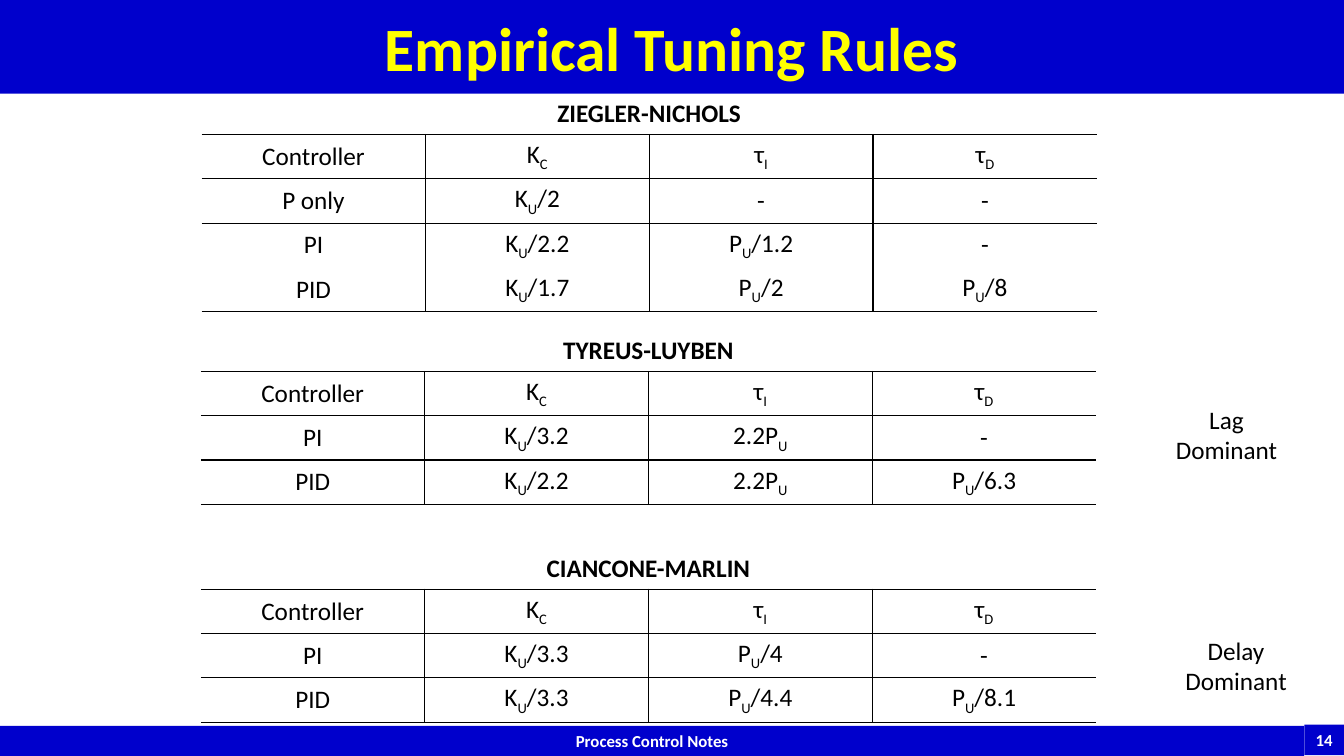
import dataclasses

import lxml.etree
import pptx
import pptx.dml.color
import pptx.enum.shapes
import pptx.enum.text
import pptx.oxml
import pptx.oxml.ns
import pptx.util

Cm = pptx.util.Cm


@dataclasses.dataclass(frozen=True)
class Theme:
    """Colours, font and type sizes of the slide."""
    font: str = "Calibri"
    band: str = "0000CC"
    title: str = "FFFF00"
    ink: str = "000000"
    paper: str = "FFFFFF"
    title_size: int = 44
    body_size: int = 18
    footer_size: int = 12


theme = Theme()


def write(text_frame, text, size, color, bold=False):
    """Write centred text; the one character after an underscore is a subscript."""
    base, mark, rest = text.partition("_")
    text_frame.text = base
    text_frame.word_wrap = True
    paragraph = text_frame.paragraphs[0]
    paragraph.alignment = pptx.enum.text.PP_ALIGN.CENTER
    if mark:
        subscript = paragraph.add_run()
        subscript.text = rest[0]
        subscript.font._element.set("baseline", "-25000")
        if rest[1:]:
            paragraph.add_run().text = rest[1:]
    for run in paragraph.runs:
        run.font.name = theme.font
        run.font.size = pptx.util.Pt(size)
        run.font.bold = bold
        run.font.color.rgb = pptx.dml.color.RGBColor.from_string(color)


def set_borders(cell, visible_sides):
    """Draw the named sides of a cell in ink and clear the others."""
    properties = cell._tc.get_or_add_tcPr()
    for position, side in enumerate("LRTB"):
        line = lxml.etree.Element(pptx.oxml.ns.qn(f"a:ln{side}"), w="12700")
        if side in visible_sides:
            fill = lxml.etree.SubElement(line, pptx.oxml.ns.qn("a:solidFill"))
            lxml.etree.SubElement(fill, pptx.oxml.ns.qn("a:srgbClr"), val=theme.ink)
        else:
            lxml.etree.SubElement(line, pptx.oxml.ns.qn("a:noFill"))
        properties.insert(position, line)


presentation = pptx.Presentation()
presentation.slide_width = Cm(33.87)
presentation.slide_height = Cm(19.05)
slide = presentation.slides.add_slide(presentation.slide_layouts[6])

# Title and footer bands: text, left, top, width, height, size, colour
bands = [
    ("Process Control Notes", 0, 18.29, 32.87, 0.76, theme.footer_size, theme.paper),
    ("14", 32.87, 18.26, 1, 0.77, theme.footer_size, theme.paper),
    ("Empirical Tuning Rules", 0, 0, 33.87, 2.36, theme.title_size, theme.title),
]
for text, left, top, width, height, size, color in bands:
    band = slide.shapes.add_shape(pptx.enum.shapes.MSO_SHAPE.RECTANGLE,
                                  Cm(left), Cm(top), Cm(width), Cm(height))
    band.shadow.inherit = False
    band.fill.solid()
    band.fill.fore_color.rgb = pptx.dml.color.RGBColor.from_string(theme.band)
    band.line.fill.background()
    write(band.text_frame, text, size, color, bold=True)
    band.text_frame.vertical_anchor = pptx.enum.text.MSO_ANCHOR.MIDDLE
    band.text_frame.margin_left = band.text_frame.margin_right = 0

# Tuning tables: name, left, top, rows without a line below, rules
column_names = ["Controller", "K_C", "τ_I", "τ_D"]
tuning_tables = [
    ("ZIEGLER-NICHOLS", 5.08, 2.36, {"PI"}, [
        ["P only", "K_U/2", "-", "-"],
        ["PI", "K_U/2.2", "P_U/1.2", "-"],
        ["PID", "K_U/1.7", "P_U/2", "P_U/8"]]),
    ("TYREUS-LUYBEN", 5.06, 8.33, set(), [
        ["PI", "K_U/3.2", "2.2P_U", "-"],
        ["PID", "K_U/2.2", "2.2P_U", "P_U/6.3"]]),
    ("CIANCONE-MARLIN", 5.06, 13.82, set(), [
        ["PI", "K_U/3.3", "P_U/4", "-"],
        ["PID", "K_U/3.3", "P_U/4.4", "P_U/8.1"]]),
]
column_width, row_height = 5.64, 1.03
column_count = len(column_names)
for name, left, top, unlined, rules in tuning_tables:
    rows = [[name] + [""] * (column_count - 1), column_names] + rules
    frame = slide.shapes.add_table(len(rows), column_count, Cm(left), Cm(top),
                                   Cm(column_width * column_count),
                                   Cm(row_height * len(rows)))
    table = frame.table
    table.first_row = table.horz_banding = False
    for column in table.columns:
        column.width = Cm(column_width)
    for row in table.rows:
        row.height = Cm(row_height)
    table.cell(0, 0).merge(table.cell(0, column_count - 1))
    for row_index, values in enumerate(rows):
        is_name = row_index == 0
        for column_index, value in enumerate(values):
            cell = table.cell(row_index, column_index)
            cell.fill.background()
            cell.vertical_anchor = pptx.enum.text.MSO_ANCHOR.MIDDLE
            write(cell.text_frame, value, theme.body_size, theme.ink, bold=is_name)
            sides = "" if values[0] in unlined else "B"
            if not is_name:
                sides += "" if rows[row_index - 1][0] in unlined else "T"
                sides += "L" if column_index > 0 else ""
                sides += "R" if column_index < column_count - 1 else ""
            set_borders(cell, sides)

# Process types that the lower two tables suit
for text, top, width in [("Lag Dominant", 10.06, 3.76), ("Delay Dominant", 15.88, 4.24)]:
    label = slide.shapes.add_textbox(Cm(29.03), Cm(top), Cm(width), Cm(1.8))
    write(label.text_frame, text, theme.body_size, theme.ink)

presentation.save("out.pptx")
